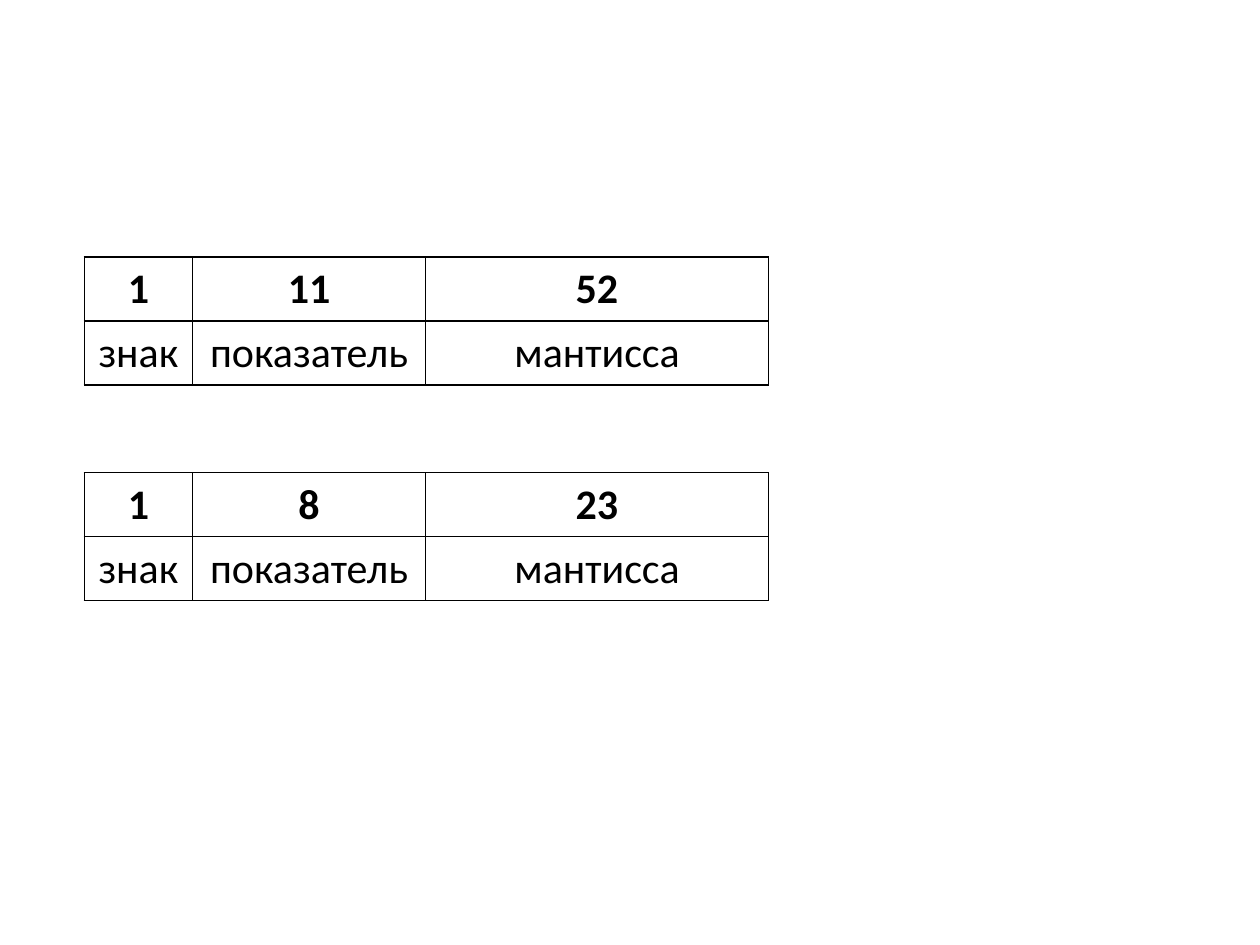
from lxml.etree import SubElement
from pptx import Presentation
from pptx.dml.color import RGBColor
from pptx.enum.text import MSO_ANCHOR, PP_ALIGN
from pptx.oxml.ns import qn
from pptx.util import Cm, Pt

BLACK, WHITE = "000000", "FFFFFF"
FIELD_NAMES = ["знак", "показатель", "мантисса"]
FIELD_WIDTHS = [2.18, 4.7, 6.91]
ROW_HEIGHT = 1.29
TABLE_LEFT = 1.7
# Top of each table in cm, with the bit count of each field
FORMATS = [(5.18, ["1", "11", "52"]), (9.53, ["1", "8", "23"])]


def color(value):
    return RGBColor.from_string(value)


def add_borders(cell, line_color=BLACK, width=1):
    properties = cell._tc.get_or_add_tcPr()
    for side in ("lnL", "lnR", "lnT", "lnB"):
        line = SubElement(properties, qn(f"a:{side}"), w=str(Pt(width)))
        fill = SubElement(line, qn("a:solidFill"))
        SubElement(fill, qn("a:srgbClr"), val=line_color)


def write_text(cell, text, size=24, bold=False, font="Calibri", text_color=BLACK):
    cell.vertical_anchor = MSO_ANCHOR.MIDDLE
    cell.margin_left = cell.margin_right = Cm(0.15)
    paragraph = cell.text_frame.paragraphs[0]
    paragraph.alignment = PP_ALIGN.CENTER
    span = paragraph.add_run()
    span.text = text
    span.font.name = font
    span.font.size = Pt(size)
    span.font.bold = bold
    span.font.color.rgb = color(text_color)


def add_format_table(page, top, bit_counts):
    rows = [bit_counts, FIELD_NAMES]
    frame = page.shapes.add_table(
        len(rows), len(FIELD_NAMES), Cm(TABLE_LEFT), Cm(top),
        Cm(sum(FIELD_WIDTHS)), Cm(ROW_HEIGHT * len(rows)))
    table = frame.table
    table.horz_banding = False
    for column, width in zip(table.columns, FIELD_WIDTHS):
        column.width = Cm(width)
    for row_index, texts in enumerate(rows):
        table.rows[row_index].height = Cm(ROW_HEIGHT)
        for column_index, text in enumerate(texts):
            cell = table.cell(row_index, column_index)
            add_borders(cell)
            cell.fill.solid()
            cell.fill.fore_color.rgb = color(WHITE)
            write_text(cell, text, bold=row_index == 0)


def main():
    deck = Presentation()
    deck.slide_width, deck.slide_height = Cm(25.4), Cm(19.05)
    page = deck.slides.add_slide(deck.slide_layouts.get_by_name("Blank"))
    for top, bit_counts in FORMATS:
        add_format_table(page, top, bit_counts)
    deck.save("out.pptx")


if __name__ == "__main__":
    main()
